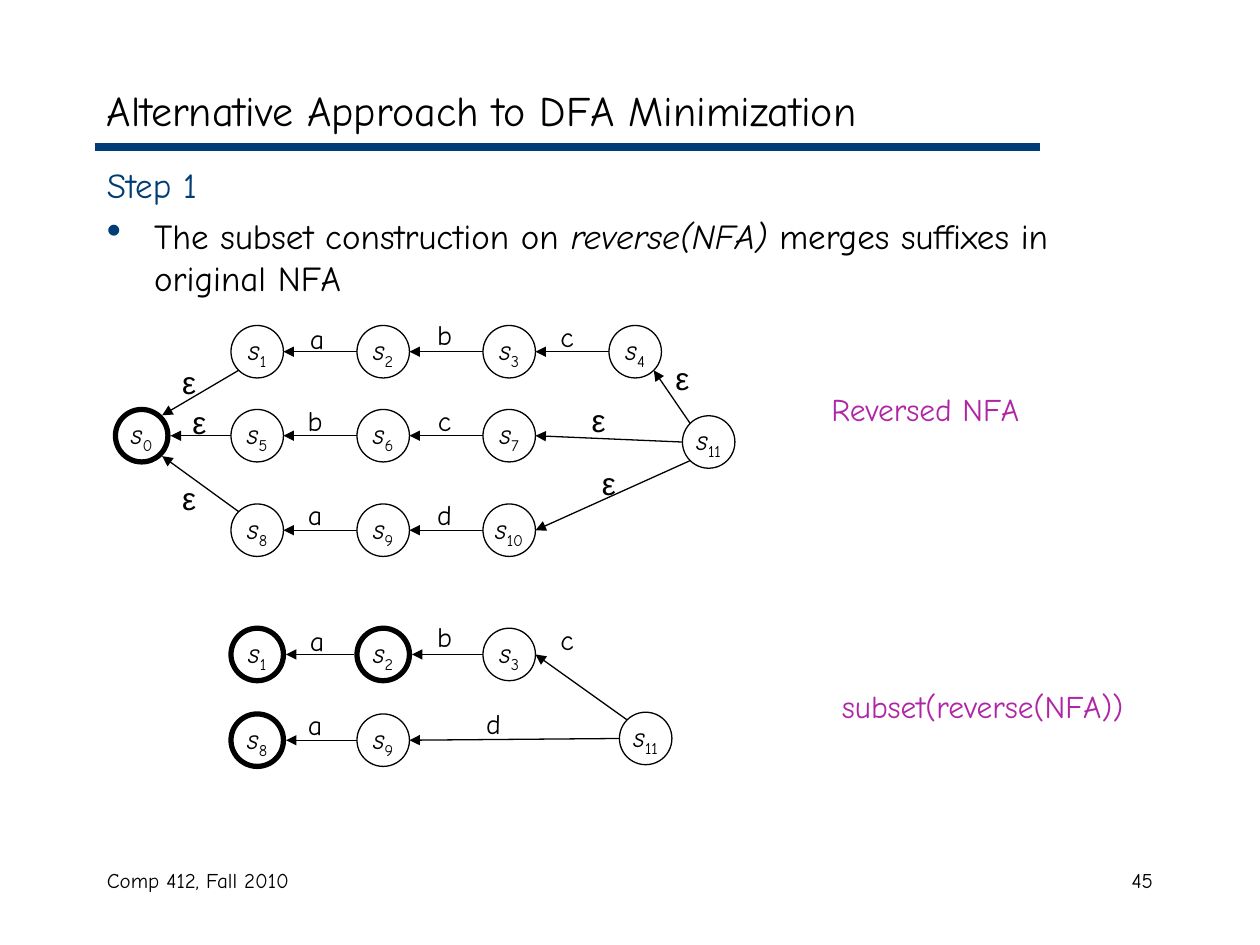
import math

from lxml import etree
from pptx import Presentation
from pptx.dml.color import RGBColor
from pptx.enum.shapes import MSO_CONNECTOR, MSO_SHAPE
from pptx.enum.text import MSO_ANCHOR, MSO_AUTO_SIZE, PP_ALIGN
from pptx.oxml.ns import qn
from pptx.util import Pt

STRAIGHT = MSO_CONNECTOR.STRAIGHT
OVAL = MSO_SHAPE.OVAL
TOP, MIDDLE = MSO_ANCHOR.TOP, MSO_ANCHOR.MIDDLE
GROW = MSO_AUTO_SIZE.SHAPE_TO_FIT_TEXT
LEFT, CENTER, RIGHT = PP_ALIGN.LEFT, PP_ALIGN.CENTER, PP_ALIGN.RIGHT

BLACK = RGBColor(0x00, 0x00, 0x00)
NAVY = RGBColor(0x00, 0x3C, 0x75)
PURPLE = RGBColor(0xB0, 0x25, 0xA6)
FONT, GREEK_FONT = "Comic Neue", "Arial"

RADIUS = 15
THIN, THICK = 0.75, 3
COLUMNS = [147 + 72 * i for i in range(4)]

# Angles in degrees, counted clockwise from the right
E, SE, SW, W, NW, NE = 0, 45, 135, 180, 225, 315

# State number: (centre x, centre y, outline width)
REVERSED_STATES = {
    0: (81, 249, THICK),
    11: (405, 252.6, THIN),
    **{1 + i: (x, 201, THIN) for i, x in enumerate(COLUMNS)},
    **{5 + i: (x, 249, THIN) for i, x in enumerate(COLUMNS[:3])},
    **{8 + i: (x, 303, THIN) for i, x in enumerate(COLUMNS[:3])},
}
# (source state, side it leaves, target state, side it enters)
REVERSED_EDGES = [
    (1, SW, 0, NE), (2, W, 1, E), (3, W, 2, E), (4, W, 3, E),
    (5, W, 0, E), (6, W, 5, E), (7, W, 6, E),
    (8, NW, 0, SE), (9, W, 8, E), (10, W, 9, E),
    (11, NW, 4, SE), (11, W, 7, E), (11, SW, 10, E),
]
REVERSED_LABELS = [
    ("ε", 96, 203.8), ("ε", 102, 226.8), ("ε", 96, 270),
    ("ε", 378, 201.6), ("ε", 330, 225.4), ("ε", 336, 261.4),
    ("a", 169.2, 180), ("b", 242, 178), ("c", 312, 179.3),
    ("b", 168, 226.8), ("c", 242, 226.8),
    ("a", 168, 280.8), ("d", 242, 280.8),
]

SUBSET_STATES = {
    1: (COLUMNS[0], 374, THICK),
    2: (COLUMNS[1], 374, THICK),
    3: (COLUMNS[2], 374, THIN),
    8: (COLUMNS[0], 423, THICK),
    9: (COLUMNS[1], 423, THIN),
    11: (369, 422, THIN),
}
SUBSET_EDGES = [
    (2, W, 1, E), (3, W, 2, E), (11, NW, 3, E), (9, W, 8, E), (11, W, 9, E),
]
SUBSET_LABELS = [
    ("a", 169.2, 352.8), ("b", 242, 350.6), ("c", 312, 352),
    ("a", 168, 401), ("d", 270, 400.3),
]


def style(span, size, color=BLACK, font=FONT, italic=False):
    span.font.size = Pt(size)
    span.font.name = font
    span.font.color.rgb = color
    span.font.italic = italic


def add_box(page, left, top, width, height, anchor=TOP):
    box = page.shapes.add_textbox(Pt(left), Pt(top), Pt(width), Pt(height))
    box.text_frame.word_wrap = True
    box.text_frame.vertical_anchor = anchor
    return box


def add_text(page, text, left, top, width, height, size, color=BLACK,
             align=LEFT, anchor=TOP, font=FONT):
    box = add_box(page, left, top, width, height, anchor)
    para = box.text_frame.paragraphs[0]
    para.text = text
    para.alignment = align
    style(para.runs[0], size, color, font)
    return box


def add_line(page, start, end, width, color=BLACK):
    line = page.shapes.add_connector(STRAIGHT, *map(Pt, start + end))
    line.line.width = Pt(width)
    line.line.color.rgb = color
    etree.SubElement(line._element.spPr, qn("a:effectLst"))
    return line


def add_arrow(page, start, end):
    arrow = add_line(page, start, end, THIN)
    etree.SubElement(arrow.line._get_or_add_ln(), qn("a:tailEnd"), type="triangle")


def add_bullet(para):
    """Give the paragraph a large navy bullet with a hanging indent."""
    properties = para._p.get_or_add_pPr()
    properties.set("marL", str(Pt(27)))
    properties.set("indent", str(-Pt(27)))
    color = etree.SubElement(properties, qn("a:buClr"))
    etree.SubElement(color, qn("a:srgbClr"), val=str(NAVY))
    etree.SubElement(properties, qn("a:buSzPct"), val="120000")
    etree.SubElement(properties, qn("a:buChar"), char="•")


def add_body(page):
    frame = add_box(page, 54, 90, 612, 390).text_frame
    frame.text = "Step 1"
    style(frame.paragraphs[0].runs[0], 20, NAVY)
    para = frame.add_paragraph()
    add_bullet(para)
    para.space_before = Pt(5)
    for text, italic in (("The subset construction on ", False),
                         ("reverse(NFA) ", True),
                         ("merges suffixes in original NFA", False)):
        span = para.add_run()
        span.text = text
        style(span, 20, italic=italic)


def add_state(page, number, x, y, width):
    """Draw a circle holding an italic s with the state number below the line."""
    circle = page.shapes.add_shape(
        OVAL, Pt(x - RADIUS), Pt(y - RADIUS), Pt(2 * RADIUS), Pt(2 * RADIUS))
    circle.shadow.inherit = False
    circle.fill.background()
    circle.line.color.rgb = BLACK
    circle.line.width = Pt(width)
    frame = circle.text_frame
    frame.word_wrap = False
    frame.vertical_anchor = MIDDLE
    para = frame.paragraphs[0]
    para.alignment = CENTER
    letter, subscript = para.add_run(), para.add_run()
    letter.text, subscript.text = "s", str(number)
    style(letter, 16, italic=True)
    style(subscript, 16)
    subscript._r.get_or_add_rPr().set("baseline", "-25000")


def rim_point(state, angle):
    """Return the point on the outer rim of a state at the given angle."""
    x, y, width = state
    reach = RADIUS + (width / 2 if width == THICK else 0)
    turn = math.radians(angle)
    return x + reach * math.cos(turn), y + reach * math.sin(turn)


def add_automaton(page, states, edges, labels):
    for number, state in states.items():
        add_state(page, number, *state)
    for source, leaving, target, entering in edges:
        add_arrow(page, rim_point(states[source], leaving),
                  rim_point(states[target], entering))
    for text, left, top in labels:
        size, height, font = (18, 28.8, GREEK_FONT) if text == "ε" else (16, 26.6, FONT)
        box = add_text(page, text, left, top, 24, height, size, align=CENTER, font=font)
        box.text_frame.auto_size = GROW


def main():
    deck = Presentation()
    deck.slide_width, deck.slide_height = Pt(720), Pt(540)
    page = deck.slides.add_slide(deck.slide_layouts[6])

    add_line(page, (54, 84), (594, 84), 4.5, NAVY)
    add_text(page, "Comp 412, Fall 2010", 54, 492, 228, 36, 12)
    add_text(page, "45", 516, 492, 150, 36, 12, align=RIGHT)
    add_text(page, "Alternative Approach to DFA Minimization",
             54, 41.5, 612, 42, 24, anchor=MIDDLE)
    add_body(page)

    add_automaton(page, REVERSED_STATES, REVERSED_EDGES, REVERSED_LABELS)
    add_text(page, "Reversed NFA", 468, 219.6, 156, 28.8, 18, PURPLE)
    add_automaton(page, SUBSET_STATES, SUBSET_EDGES, SUBSET_LABELS)
    add_text(page, "subset(reverse(NFA))", 474, 388.8, 222, 28.8, 18, PURPLE)

    deck.save("out.pptx")


if __name__ == "__main__":
    main()
